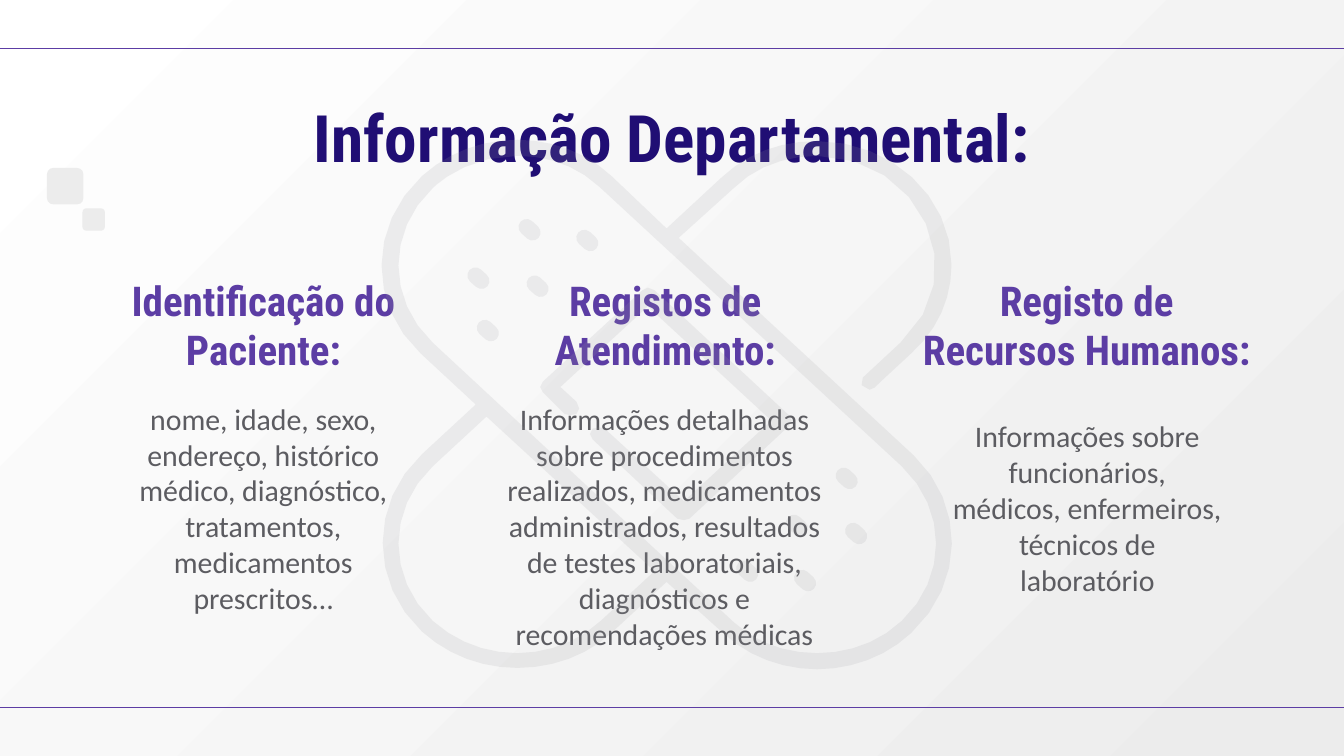
from math import dist

from lxml.etree import SubElement
from pptx import Presentation
from pptx.dml.color import RGBColor
from pptx.enum.shapes import MSO_CONNECTOR, MSO_SHAPE
from pptx.enum.text import MSO_ANCHOR, PP_ALIGN
from pptx.oxml.ns import qn
from pptx.util import Pt

WHITE = RGBColor(0xFF, 0xFF, 0xFF)
PALE = RGBColor(0xEC, 0xEC, 0xEC)
PURPLE = RGBColor(0x5C, 0x3D, 0xA4)
NAVY = RGBColor(0x20, 0x0E, 0x74)
SLATE = RGBColor(0x5C, 0x5C, 0x61)
GREY = RGBColor(0x9C, 0x9C, 0xA1)

WIDTH, HEIGHT = 720, 405
HEADLINE = {"name": "Roboto Condensed", "size": Pt(35), "bold": True}
HEADING = {"name": "Roboto Condensed", "size": Pt(22), "bold": True}
BODY = {"name": "Calibri", "size": Pt(16), "bold": False}

COLUMNS = [
    ("Identificação do Paciente:", (61.92, 142.56, 158.4, 64.8),
     "nome, idade, sexo, endereço, histórico médico, diagnóstico, tratamentos, "
     "medicamentos prescritos…", (61.92, 207.36, 158.4, 164.16)),
    ("Registos de Atendimento:", (277.2, 142.56, 158.4, 64.8),
     "Informações detalhadas sobre procedimentos realizados, medicamentos "
     "administrados, resultados de testes laboratoriais, diagnósticos e "
     "recomendações médicas", (263.52, 207.36, 185.04, 138.96)),
    ("Registo de Recursos Humanos:", (485.28, 141.12, 193.68, 66.24),
     "Informações sobre funcionários, médicos, enfermeiros, técnicos de laboratório",
     (503.28, 216.72, 158.4, 138.96)),
]

EMBLEM_GRID = 452
PLASTERS = [
    [(88, 206), (213, 321), (173, 358), (156, 374, 133, 382, 111, 382),
     (88, 382, 66, 374, 48, 358), (14, 326, 14, 275, 48, 243)],
    [(111, 12), (133, 12, 155, 19, 172, 35), (397, 243),
     (431, 275, 431, 326, 397, 358), (379, 375, 356, 382, 334, 382),
     (312, 382, 289, 375, 272, 359), (48, 151), (14, 119, 14, 68, 48, 36),
     (48, 36, 71, 12, 111, 12)],
    [(111, 0), (85, 0, 60, 9, 40, 27), (0, 64, 0, 123, 39, 159),
     (80, 197), (40, 234), (1, 270, 1, 330, 40, 366), (60, 384, 85, 393, 111, 393),
     (137, 393, 163, 384, 182, 366), (222, 329), (264, 367),
     (283, 385, 309, 394, 334, 394), (359, 394, 385, 385, 404, 367),
     (444, 330, 444, 271, 406, 235), (231, 73), (272, 36),
     (288, 20, 311, 12, 334, 12), (411, 12, 452, 100, 396, 151), (368, 177),
     (365, 180, 367, 186, 373, 186), (377, 186, 376, 184, 404, 159),
     (424, 141, 434, 118, 434, 93), (434, 42, 389, 1, 334, 1),
     (307, 1, 282, 10, 263, 28), (222, 66), (181, 27), (162, 9, 136, 0, 111, 0)],
]
PAD = [
    (208, 110), (204, 112), (130, 180), (128, 184), (130, 188), (146, 204),
    (150, 205), (155, 204), (157, 200), (155, 195), (143, 184), (208, 124),
    (300, 209), (235, 269), (176, 215), (172, 214), (167, 215), (165, 219),
    (167, 223), (230, 282), (235, 283), (239, 282), (313, 213), (315, 209),
    (313, 205), (213, 112)]
HOLE_CENTRES = [(89, 142), (82, 103), (120, 67), (126, 109), (163, 75),
                (282, 321), (325, 328), (363, 293), (319, 287), (356, 252)]


def set_all(target, values):
    """Set every attribute named in values on target."""
    for name, value in values.items():
        setattr(target, name, value)


def paint(shape, color, alpha=None):
    """Give a shape a plain fill, see-through if alpha is given, without line or shadow."""
    shape.shadow.inherit = False
    shape.fill.solid()
    shape.fill.fore_color.rgb = color
    shape.line.fill.background()
    if alpha is not None:
        tint = shape._element.spPr.find(qn("a:solidFill"))[0]
        SubElement(tint, qn("a:alpha"), val=str(alpha * 1000))


def add_text(page, box, text, style, color, anchor=MSO_ANCHOR.TOP):
    """Place centred, wrapped text in the box."""
    frame = page.shapes.add_textbox(*map(Pt, box)).text_frame
    inset = Pt(7.2)
    set_all(frame, {"word_wrap": True, "vertical_anchor": anchor,
                    "margin_left": inset, "margin_right": inset,
                    "margin_top": inset, "margin_bottom": inset})
    para = frame.paragraphs[0]
    para.alignment = PP_ALIGN.CENTER
    span = para.add_run()
    span.text = text
    set_all(span.font, style)
    span.font.color.rgb = color


def add_backdrop(page, box):
    """Fill the background and draw the two rules across the box."""
    left, top, width, height = box
    fill = page.background.fill
    fill.gradient()
    fill.gradient_angle = 315
    for stop, color in zip(fill.gradient_stops, (WHITE, PALE)):
        stop.color.rgb = color
    margin = 26
    for y in (top + margin, top + height - margin):
        rule = page.shapes.add_connector(
            MSO_CONNECTOR.STRAIGHT, Pt(left), Pt(y), Pt(left + width), Pt(y))
        rule.line.color.rgb = PURPLE
        rule.line.width = Pt(0.75)
        SubElement(rule._element.spPr, qn("a:effectLst"))


def add_squares(page, box):
    """Draw a large and a small rounded square at opposite corners of the box."""
    left, top, width, height = box
    large, small = 19.5, 12
    for x, y, side in ((left, top, large),
                       (left + width - small, top + height - small, small)):
        square = page.shapes.add_shape(
            MSO_SHAPE.ROUNDED_RECTANGLE, Pt(x), Pt(y), Pt(side), Pt(side))
        square.adjustments[0] = 0.17
        paint(square, PALE)


def trace(outline):
    """Turn corners and cubic curves into points, with more for longer curves."""
    points = []
    for part in outline:
        if len(part) == 2:
            points.append(part)
            continue
        curve = [points[-1], part[:2], part[2:4], part[4:]]
        steps = max(2, min(8, round(dist(curve[0], curve[3]) / 13)))
        for step in range(1, steps + 1):
            t = step / steps
            weights = ((1 - t) ** 3, 3 * t * (1 - t) ** 2, 3 * t * t * (1 - t), t ** 3)
            points.append(tuple(sum(w * p[axis] for w, p in zip(weights, curve))
                                for axis in (0, 1)))
    return points


def add_emblem(page, box):
    """Draw the crossed plasters, see-through, in the box."""
    left, top, width, _ = box
    unit = width / EMBLEM_GRID
    group = page.shapes.add_group_shape()
    for outlines in (PLASTERS, [PAD]):
        builder = None
        for outline in outlines:
            start, *rest = [(Pt(left + x * unit), Pt(top + y * unit))
                            for x, y in trace(outline)]
            if builder is None:
                builder = group.shapes.build_freeform(*start)
            else:
                builder.move_to(*start)
            builder.add_line_segments(rest, close=True)
        paint(builder.convert_to_shape(), GREY, 15)
    length, breadth = 18 * unit, 12 * unit
    for x, y in HOLE_CENTRES:
        hole = group.shapes.add_shape(
            MSO_SHAPE.ROUNDED_RECTANGLE, Pt(left + x * unit - length / 2),
            Pt(top + y * unit - breadth / 2), Pt(length), Pt(breadth))
        hole.adjustments[0] = 0.5
        hole.rotation = 42
        paint(hole, GREY, 15)


def main():
    """Build the slide and save it."""
    deck = Presentation()
    set_all(deck, {"slide_width": Pt(WIDTH), "slide_height": Pt(HEIGHT)})
    page = deck.slides.add_slide(deck.slide_layouts[6])
    add_backdrop(page, (0, 0, WIDTH, HEIGHT))
    add_squares(page, (25.2, 90, 31, 33.6))
    for heading, heading_box, body, body_box in COLUMNS:
        add_text(page, heading_box, heading, HEADING, PURPLE, MSO_ANCHOR.BOTTOM)
        add_text(page, body_box, body, BODY, SLATE)
    add_text(page, (0, 44.64, WIDTH, 41.76), "Informação Departamental:", HEADLINE, NAVY)
    add_emblem(page, (197.28, 74.88, 325.44, 283.68))
    deck.save("out.pptx")


if __name__ == "__main__":
    main()
